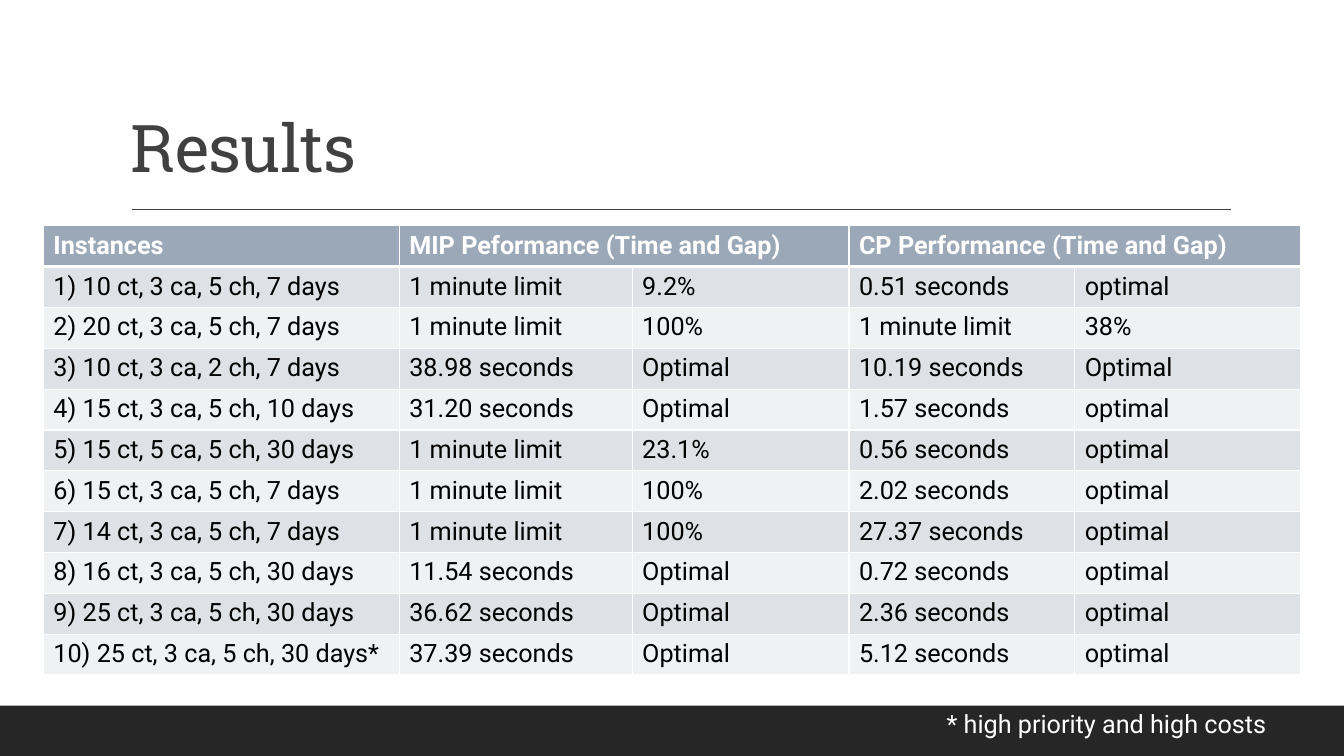
from dataclasses import dataclass

from lxml.etree import SubElement
from pptx import Presentation
from pptx.dml.color import RGBColor
from pptx.enum.shapes import MSO_CONNECTOR, MSO_SHAPE
from pptx.enum.text import MSO_ANCHOR
from pptx.oxml.ns import qn
from pptx.slide import Slide
from pptx.table import _Cell
from pptx.util import Inches, Pt

WHITE = RGBColor(0xFF, 0xFF, 0xFF)
BLACK = RGBColor(0x00, 0x00, 0x00)
CHARCOAL = RGBColor(0x26, 0x26, 0x26)
GRAY = RGBColor(0x40, 0x40, 0x40)
HEADER_BLUE = RGBColor(0x9B, 0xA8, 0xB7)
BANDS = (RGBColor(0xDE, 0xE1, 0xE6), RGBColor(0xEF, 0xF1, 0xF3))
BODY_FONT = "Roboto"
TITLE_FONT = "Roboto Slab"

COLUMN_WIDTHS = (3.53, 2.31, 2.15, 2.24, 2.24)
TABLE_HEIGHT = 4.46
HEADINGS = {
    0: "Instances",
    1: "MIP Peformance (Time and Gap)",
    3: "CP Performance (Time and Gap)",
}


@dataclass(frozen=True)
class Result:
    instance: str
    mip_time: str
    mip_gap: str
    cp_time: str
    cp_gap: str

    def values(self) -> tuple[str, ...]:
        return self.instance, self.mip_time, self.mip_gap, self.cp_time, self.cp_gap


@dataclass(frozen=True)
class Label:
    text: str
    left: float
    top: float
    width: float
    height: float
    size: float
    font: str
    color: RGBColor
    anchor: MSO_ANCHOR = MSO_ANCHOR.TOP
    line_spacing: float = 1.0
    tracking: float = 0.0


RESULTS = (
    Result("1) 10 ct, 3 ca, 5 ch, 7 days", "1 minute limit", "9.2%", "0.51 seconds", "optimal"),
    Result("2) 20 ct, 3 ca, 5 ch, 7 days", "1 minute limit", "100%", "1 minute limit", "38%"),
    Result("3) 10 ct, 3 ca, 2 ch, 7 days", "38.98 seconds", "Optimal", "10.19 seconds", "Optimal"),
    Result("4) 15 ct, 3 ca, 5 ch, 10 days", "31.20 seconds", "Optimal", "1.57 seconds", "optimal"),
    Result("5) 15 ct, 5 ca, 5 ch, 30 days", "1 minute limit", "23.1%", "0.56 seconds", "optimal"),
    Result("6) 15 ct, 3 ca, 5 ch, 7 days", "1 minute limit", "100%", "2.02 seconds", "optimal"),
    Result("7) 14 ct, 3 ca, 5 ch, 7 days", "1 minute limit", "100%", "27.37 seconds", "optimal"),
    Result("8) 16 ct, 3 ca, 5 ch, 30 days", "11.54 seconds", "Optimal", "0.72 seconds", "optimal"),
    Result("9) 25 ct, 3 ca, 5 ch, 30 days", "36.62 seconds", "Optimal", "2.36 seconds", "optimal"),
    Result("10) 25 ct, 3 ca, 5 ch, 30 days*", "37.39 seconds", "Optimal", "5.12 seconds", "optimal"),
)

LABELS = (
    Label("Results", 1.2, 0.31, 11, 1.59, 47, TITLE_FONT, GRAY, MSO_ANCHOR.BOTTOM, 0.9, -0.5),
    Label("* high priority and high costs", 9.29, 6.98, 3.65, 0.4, 18, BODY_FONT, WHITE),
)


def draw_footer_band(slide: Slide) -> None:
    band = slide.shapes.add_shape(
        MSO_SHAPE.RECTANGLE, Inches(0), Inches(7), Inches(13.33), Inches(0.5)
    )
    band.shadow.inherit = False
    band.fill.solid()
    band.fill.fore_color.rgb = CHARCOAL
    band.line.fill.background()


def draw_title_rule(slide: Slide) -> None:
    rule = slide.shapes.add_connector(
        MSO_CONNECTOR.STRAIGHT, Inches(1.31), Inches(2.08), Inches(12.21), Inches(2.08)
    )
    rule.line.color.rgb = GRAY
    rule.line.width = Pt(1)
    SubElement(rule._element.spPr, qn("a:effectLst"))


def draw_label(slide: Slide, label: Label) -> None:
    box = slide.shapes.add_textbox(
        Inches(label.left), Inches(label.top), Inches(label.width), Inches(label.height)
    )
    frame = box.text_frame
    frame.word_wrap = True
    frame.vertical_anchor = label.anchor
    frame.text = label.text
    paragraph = frame.paragraphs[0]
    paragraph.line_spacing = label.line_spacing
    paragraph.font.size = Pt(label.size)
    paragraph.font.name = label.font
    paragraph.font.color.rgb = label.color
    if label.tracking:
        run_properties = paragraph.runs[0]._r.get_or_add_rPr()
        run_properties.set("spc", str(round(label.tracking * 100)))


def style_cell(cell: _Cell, row: int) -> None:
    widths = {"lnL": 1, "lnR": 1, "lnT": 3 if row == 1 else 1, "lnB": 3 if row == 0 else 1}
    properties = cell._tc.get_or_add_tcPr()
    for side, width in widths.items():
        border = SubElement(properties, qn(f"a:{side}"), w=str(Pt(width)))
        border_fill = SubElement(border, qn("a:solidFill"))
        SubElement(border_fill, qn("a:srgbClr"), val=str(WHITE))
    cell.fill.solid()
    cell.fill.fore_color.rgb = HEADER_BLUE if row == 0 else BANDS[(row - 1) % 2]
    font = cell.text_frame.paragraphs[0].font
    font.size = Pt(18)
    font.name = BODY_FONT
    font.bold = row == 0
    font.color.rgb = WHITE if row == 0 else BLACK


def draw_results_table(slide: Slide) -> None:
    headings = tuple(HEADINGS.get(column, "") for column in range(len(COLUMN_WIDTHS)))
    rows = (headings, *(result.values() for result in RESULTS))
    table = slide.shapes.add_table(
        len(rows), len(COLUMN_WIDTHS),
        Inches(0.43), Inches(2.24), Inches(sum(COLUMN_WIDTHS)), Inches(TABLE_HEIGHT),
    ).table
    for column, width in zip(table.columns, COLUMN_WIDTHS):
        column.width = Inches(width)
    for row, values in enumerate(rows):
        for column, value in enumerate(values):
            cell = table.cell(row, column)
            cell.text = value
            style_cell(cell, row)
    for column in (1, 3):
        table.cell(0, column).merge(table.cell(0, column + 1))


def main() -> None:
    presentation = Presentation()
    presentation.slide_width = Inches(13.33)
    presentation.slide_height = Inches(7.5)
    slide = presentation.slides.add_slide(presentation.slide_layouts[6])
    draw_footer_band(slide)
    draw_title_rule(slide)
    draw_results_table(slide)
    for label in LABELS:
        draw_label(slide, label)
    presentation.save("out.pptx")


if __name__ == "__main__":
    main()
